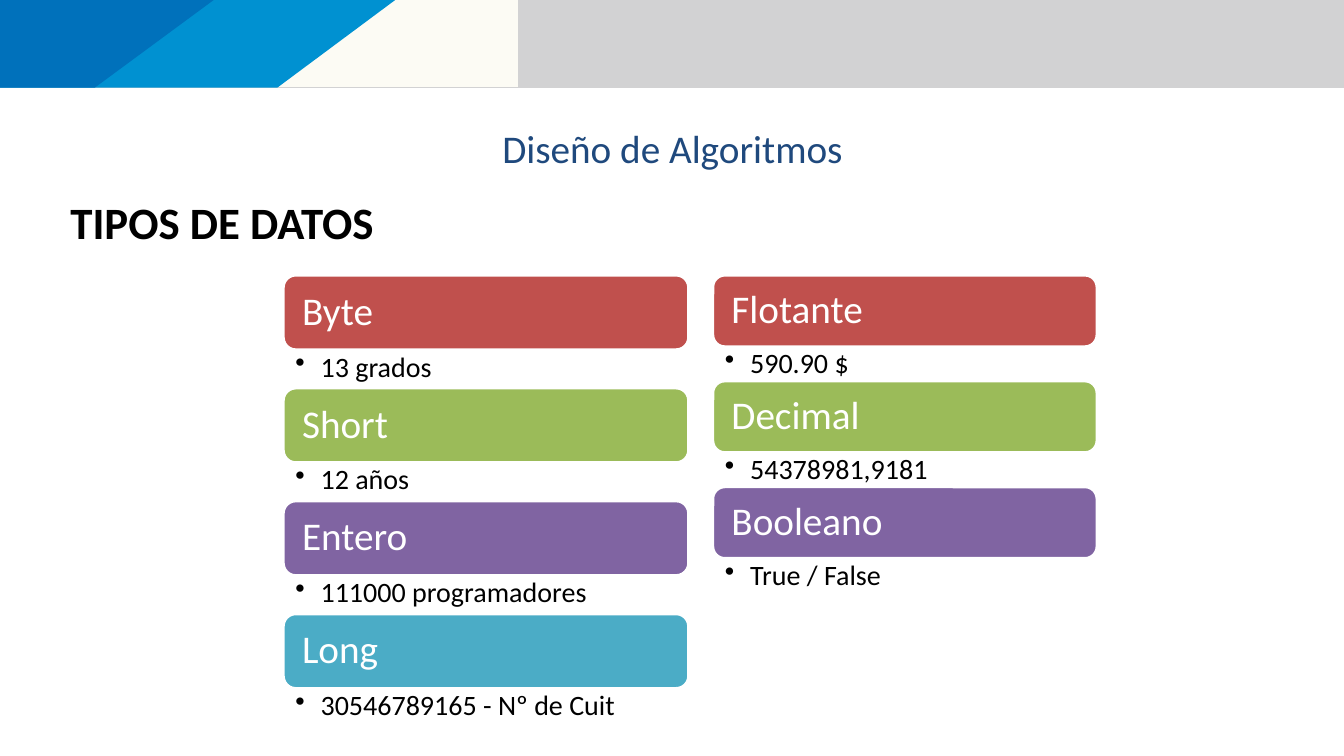
from lxml import etree
from pptx import Presentation
from pptx.dml.color import RGBColor
from pptx.enum.shapes import MSO_SHAPE
from pptx.enum.text import MSO_ANCHOR, PP_ALIGN
from pptx.oxml.ns import qn
from pptx.util import Inches, Pt

ROUNDED = MSO_SHAPE.ROUNDED_RECTANGLE
TOP, MIDDLE = MSO_ANCHOR.TOP, MSO_ANCHOR.MIDDLE
LEFT, CENTER = PP_ALIGN.LEFT, PP_ALIGN.CENTER
FONT = "Calibri"
COLORS = {
    "gray": "D2D2D3", "cream": "FCFBF4", "sky": "0091D1", "blue": "0071BB",
    "navy": "1F497D", "black": "000000", "white": "FFFFFF",
    "red": "C0504D", "green": "9BBB59", "purple": "8064A2", "teal": "4BACC6",
}
CARD_COLORS = ["red", "green", "purple", "teal"]
INTEGER_TYPES = [
    ("Byte", "13 grados"),
    ("Short", "12 años"),
    ("Entero", "111000 programadores"),
    ("Long", "30546789165 - Nº de Cuit"),
]
OTHER_TYPES = [
    ("Flotante", "590.90 $"),
    ("Decimal", "54378981,9181"),
    ("Booleano", "True / False"),
]


def color(name):
    return RGBColor.from_string(COLORS[name])


def write(shape, text, size, color_name, margins, anchor=TOP, align=LEFT,
          bold=False, bullet=False, spacing=1.0):
    frame = shape.text_frame
    frame.word_wrap = True
    frame.vertical_anchor = anchor
    (frame.margin_left, frame.margin_top,
     frame.margin_right, frame.margin_bottom) = map(Inches, margins)
    paragraph = frame.paragraphs[0]
    paragraph.alignment = align
    paragraph.line_spacing = spacing
    if bullet:
        properties = paragraph._p.get_or_add_pPr()
        properties.set("marL", str(Inches(0.25)))
        properties.set("indent", str(Inches(-0.25)))
        etree.SubElement(properties, qn("a:buChar")).set("char", "•")
    run = paragraph.add_run()
    run.text = text
    run.font.name = FONT
    run.font.size = Pt(size)
    run.font.bold = bold
    run.font.color.rgb = color(color_name)


def add_text(slide, box, *args, **options):
    write(slide.shapes.add_textbox(*map(Inches, box)), *args, **options)


def add_banner(slide, left, top, width, height):
    bands = [
        ("gray", width, width, height),
        ("cream", 5.14, 5.14, height - 0.01),
        ("sky", 3.92, 2.75, height),
        ("blue", 2.12, 0.94, height),
    ]
    for color_name, top_width, bottom_width, depth in bands:
        builder = slide.shapes.build_freeform(Inches(left), Inches(top))
        corners = [(top_width, 0), (bottom_width, depth), (0, depth)]
        builder.add_line_segments(
            [(Inches(left + x), Inches(top + y)) for x, y in corners])
        band = builder.convert_to_shape()
        band.shadow.inherit = False
        band.fill.solid()
        band.fill.fore_color.rgb = color(color_name)
        band.line.fill.background()


def add_type_list(slide, left, top, width, card_height, example_height, types):
    pitch = card_height + example_height
    for index, (name, example) in enumerate(types):
        card_top = top + index * pitch
        card = slide.shapes.add_shape(
            ROUNDED, *map(Inches, (left, card_top, width, card_height)))
        card.shadow.inherit = False
        card.fill.solid()
        card.fill.fore_color.rgb = color(CARD_COLORS[index])
        card.line.color.rgb = color("white")
        card.line.width = Pt(2)
        write(card, name, 28, "white", (0.15, 0.12, 0.15, 0.12),
              anchor=MIDDLE, spacing=0.9)
        add_text(slide, (left, card_top + card_height, width, example_height),
                 example, 20, "black", (0.12, 0.03, 0.16, 0.03),
                 bullet=True, spacing=0.9)


def add_headings(slide, left, top, width):
    add_text(slide, (left + 1.57, top, width - 3.13, 0.47),
             "Diseño de Algoritmos", 28, "navy", (0, 0, 0, 0), align=CENTER)
    add_text(slide, (left, top + 0.65, 3.63, 0.64),
             "TIPOS DE DATOS", 32, "black", (0.1, 0.05, 0.1, 0.05), bold=True)


def main():
    presentation = Presentation()
    presentation.slide_width = Inches(13.33)
    presentation.slide_height = Inches(7.5)
    slide = presentation.slides.add_slide(presentation.slide_layouts[6])
    add_banner(slide, 0, 0, 13.33, 0.87)
    add_headings(slide, 0.6, 1.23, 12.13)
    add_type_list(slide, 2.81, 2.73, 4.02, 0.74, 0.38, INTEGER_TYPES)
    add_type_list(slide, 7.07, 2.73, 3.81, 0.71, 0.34, OTHER_TYPES)
    presentation.save("out.pptx")


if __name__ == "__main__":
    main()
